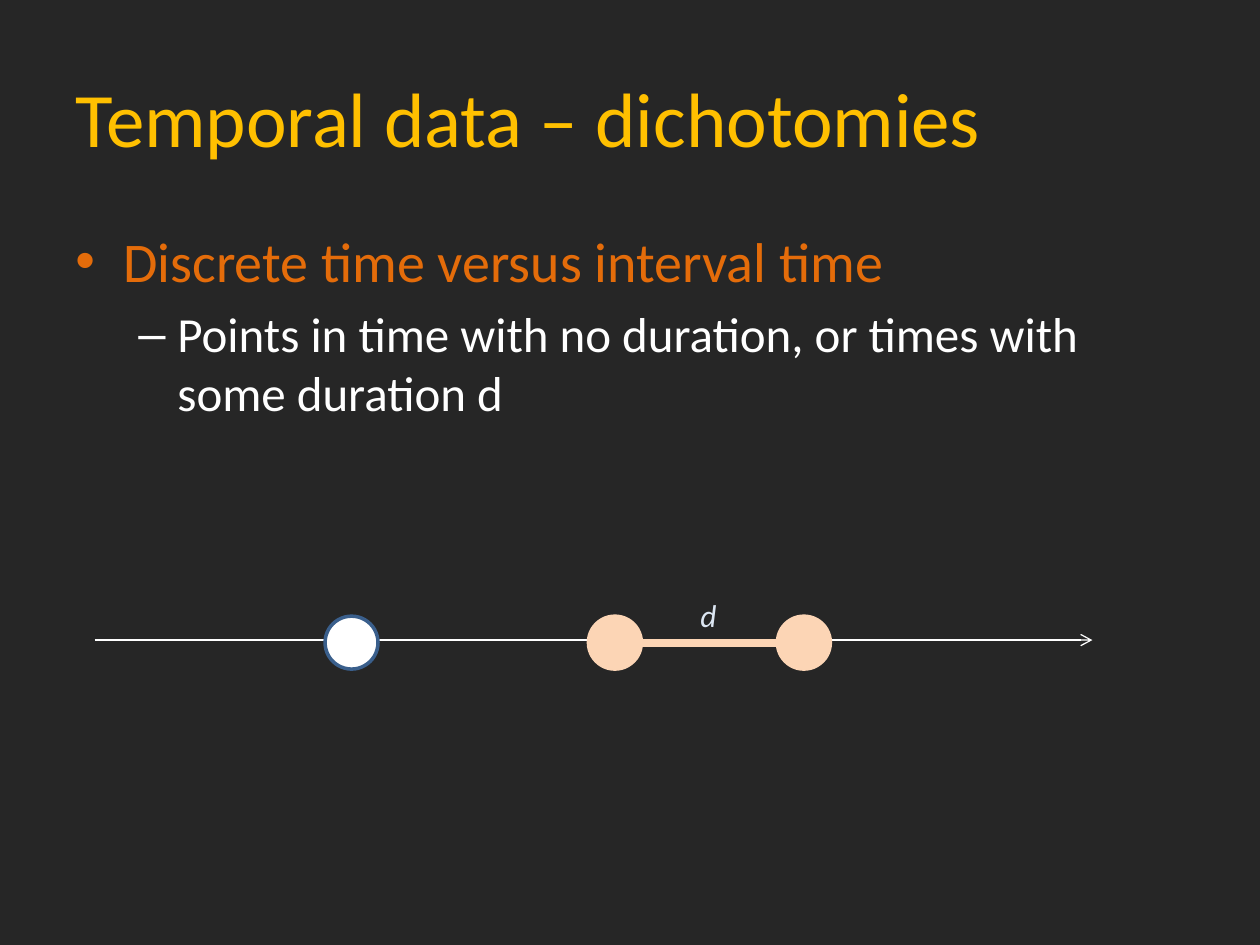
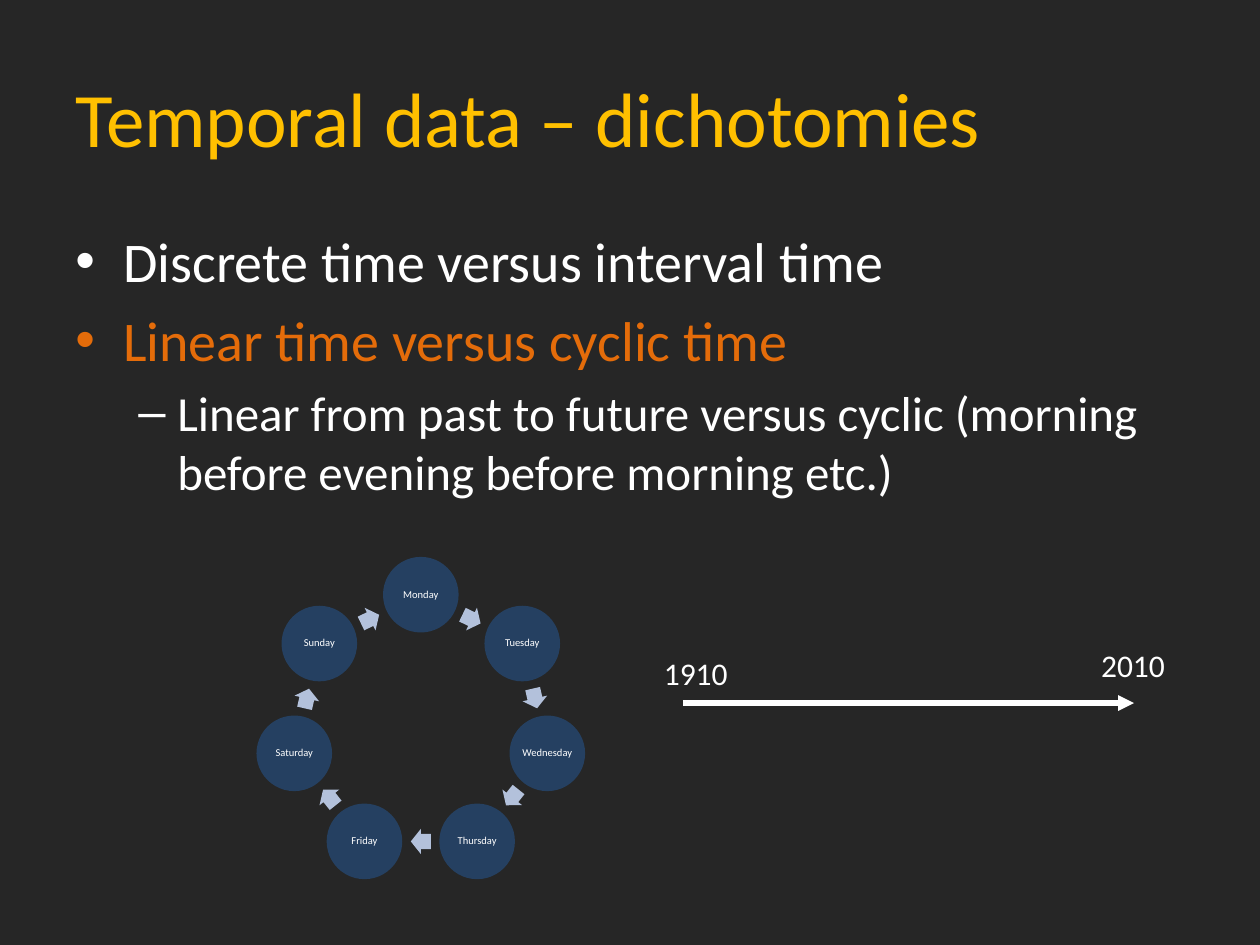
from math import cos, pi, sin

from lxml import etree
from pptx import Presentation
from pptx.dml.color import RGBColor
from pptx.enum.shapes import MSO_CONNECTOR, MSO_SHAPE
from pptx.enum.text import MSO_ANCHOR, PP_ALIGN
from pptx.oxml.ns import qn
from pptx.util import Inches, Pt

STRAIGHT = MSO_CONNECTOR.STRAIGHT
ELLIPSE = MSO_SHAPE.OVAL
RIGHT_ARROW = MSO_SHAPE.RIGHT_ARROW
MIDDLE = MSO_ANCHOR.MIDDLE
TOP = MSO_ANCHOR.TOP
CENTER = PP_ALIGN.CENTER

FONT = "Calibri"
BACKGROUND = RGBColor(0x26, 0x26, 0x26)
GOLD = RGBColor(0xFF, 0xC0, 0x00)
ORANGE = RGBColor(0xE4, 0x6C, 0x0A)
WHITE = RGBColor(0xFF, 0xFF, 0xFF)
PEACH = RGBColor(0xFC, 0xD5, 0xB5)
PALE_BLUE = RGBColor(0xDC, 0xE6, 0xF2)
POINT_OUTLINE = RGBColor(0x3A, 0x5F, 0x8C)
DAY_BLUE = RGBColor(0x25, 0x40, 0x61)
ARROW_BLUE = RGBColor(0xB3, 0xC1, 0xDB)

TITLE = "Temporal data – dichotomies"
LEVELS = [
    {"bullet": "•", "size": 32, "margin": 0.38, "indent": -0.38},
    {"bullet": "–", "size": 28, "margin": 0.81, "indent": -0.31},
]
DAYS = ["Monday", "Tuesday", "Wednesday", "Thursday", "Friday", "Saturday", "Sunday"]


def add_run(paragraph, text, size, color, italic=False):
    run = paragraph.add_run()
    run.text = text
    run.font.name = FONT
    run.font.size = Pt(size)
    run.font.color.rgb = color
    run.font.italic = italic


def add_text_box(slide, left, top, width, height, anchor=TOP, wrap=True):
    box = slide.shapes.add_textbox(Inches(left), Inches(top), Inches(width), Inches(height))
    frame = box.text_frame
    frame.word_wrap = wrap
    frame.vertical_anchor = anchor
    return frame


def add_label(slide, left, top, width, text, color=WHITE, italic=False):
    frame = add_text_box(slide, left, top, width, 0.4, wrap=False)
    add_run(frame.paragraphs[0], text, 18, color, italic)


def set_bullet(paragraph, style):
    properties = paragraph._p.get_or_add_pPr()
    properties.set("marL", str(Inches(style["margin"])))
    properties.set("indent", str(Inches(style["indent"])))
    etree.SubElement(properties, qn("a:buFont"), typeface="Arial")
    etree.SubElement(properties, qn("a:buChar"), char=style["bullet"])


def add_bullets(slide, items):
    frame = add_text_box(slide, 0.5, 1.75, 9, 4.95)
    for index, (level, text, color) in enumerate(items):
        paragraph = frame.add_paragraph() if index else frame.paragraphs[0]
        style = LEVELS[level]
        set_bullet(paragraph, style)
        paragraph.level = level
        if index:
            paragraph.space_before = Pt(0.2 * style["size"])
        add_run(paragraph, text, style["size"], color)


def add_content_slide(presentation, items):
    slide = presentation.slides.add_slide(presentation.slide_layouts[6])
    slide.background.fill.solid()
    slide.background.fill.fore_color.rgb = BACKGROUND
    frame = add_text_box(slide, 0.5, 0.3, 9, 1.25, MIDDLE)
    add_run(frame.paragraphs[0], TITLE, 44, GOLD)
    add_bullets(slide, items)
    return slide


def add_line(slide, start, end, y, color, weight, arrowhead=None):
    line = slide.shapes.add_connector(STRAIGHT, Inches(start), Inches(y), Inches(end), Inches(y))
    line.line.color.rgb = color
    line.line.width = Pt(weight)
    if arrowhead:
        etree.SubElement(line.line._get_or_add_ln(), qn("a:tailEnd"), type=arrowhead)
    etree.SubElement(line._element.spPr, qn("a:effectLst"))


def add_centered_shape(slide, kind, x, y, width, height, fill, outline=None):
    shape = slide.shapes.add_shape(
        kind, Inches(x - width / 2), Inches(y - height / 2), Inches(width), Inches(height)
    )
    shape.shadow.inherit = False
    shape.fill.solid()
    shape.fill.fore_color.rgb = fill
    if outline is None:
        shape.line.fill.background()
    else:
        shape.line.color.rgb = outline
        shape.line.width = Pt(2)
    return shape


def add_time_point(slide, x, fill, outline):
    add_centered_shape(slide, ELLIPSE, x, 5.1, 0.42, 0.42, fill, outline)


def add_day(slide, x, y, name):
    circle = add_centered_shape(slide, ELLIPSE, x, y, 0.6, 0.6, DAY_BLUE)
    frame = circle.text_frame
    frame.word_wrap = True
    frame.vertical_anchor = MIDDLE
    frame.margin_left = frame.margin_right = Inches(0.01)
    frame.margin_top = frame.margin_bottom = Inches(0.01)
    paragraph = frame.paragraphs[0]
    paragraph.alignment = CENTER
    paragraph.line_spacing = 0.9
    add_run(paragraph, name, 6, WHITE)


def add_week_cycle(slide, center_x, center_y, radius):
    step = 2 * pi / len(DAYS)
    arrow_radius = radius * cos(step / 2)
    for index, name in enumerate(DAYS):
        angle = index * step
        add_day(slide, center_x + radius * sin(angle), center_y - radius * cos(angle), name)
        middle = angle + step / 2
        arrow = add_centered_shape(
            slide,
            RIGHT_ARROW,
            center_x + arrow_radius * sin(middle),
            center_y - arrow_radius * cos(middle),
            0.16,
            0.2,
            ARROW_BLUE,
        )
        arrow.adjustments[0] = 0.6
        arrow.adjustments[1] = 0.5
        arrow.rotation = middle * 180 / pi


def build_discrete_slide(presentation):
    slide = add_content_slide(presentation, [
        (0, "Discrete time versus interval time", ORANGE),
        (1, "Points in time with no duration, or times with some duration d", WHITE),
    ])
    add_line(slide, 0.75, 8.67, 5.08, WHITE, 0.75, "arrow")
    add_time_point(slide, 2.79, WHITE, POINT_OUTLINE)
    for x in (4.88, 6.38):
        add_time_point(slide, x, PEACH, PEACH)
    add_line(slide, 5.09, 6.17, 5.1, PEACH, 4.5)
    add_label(slide, 5.46, 4.68, 0.34, "d", PALE_BLUE, italic=True)


def build_cyclic_slide(presentation):
    slide = add_content_slide(presentation, [
        (0, "Discrete time versus interval time", WHITE),
        (0, "Linear time versus cyclic time", ORANGE),
        (1, "Linear from past to future versus cyclic (morning before evening before morning etc.)", WHITE),
    ])
    add_week_cycle(slide, 3.34, 5.75, 1.03)
    add_line(slide, 5.42, 9, 5.58, WHITE, 3, "triangle")
    add_label(slide, 5.17, 5.14, 0.71, "1910")
    add_label(slide, 8.64, 5.08, 0.71, "2010")


def main():
    presentation = Presentation()
    presentation.slide_width = Inches(10)
    presentation.slide_height = Inches(7.5)
    build_discrete_slide(presentation)
    build_cyclic_slide(presentation)
    presentation.save("out.pptx")


if __name__ == "__main__":
    main()
